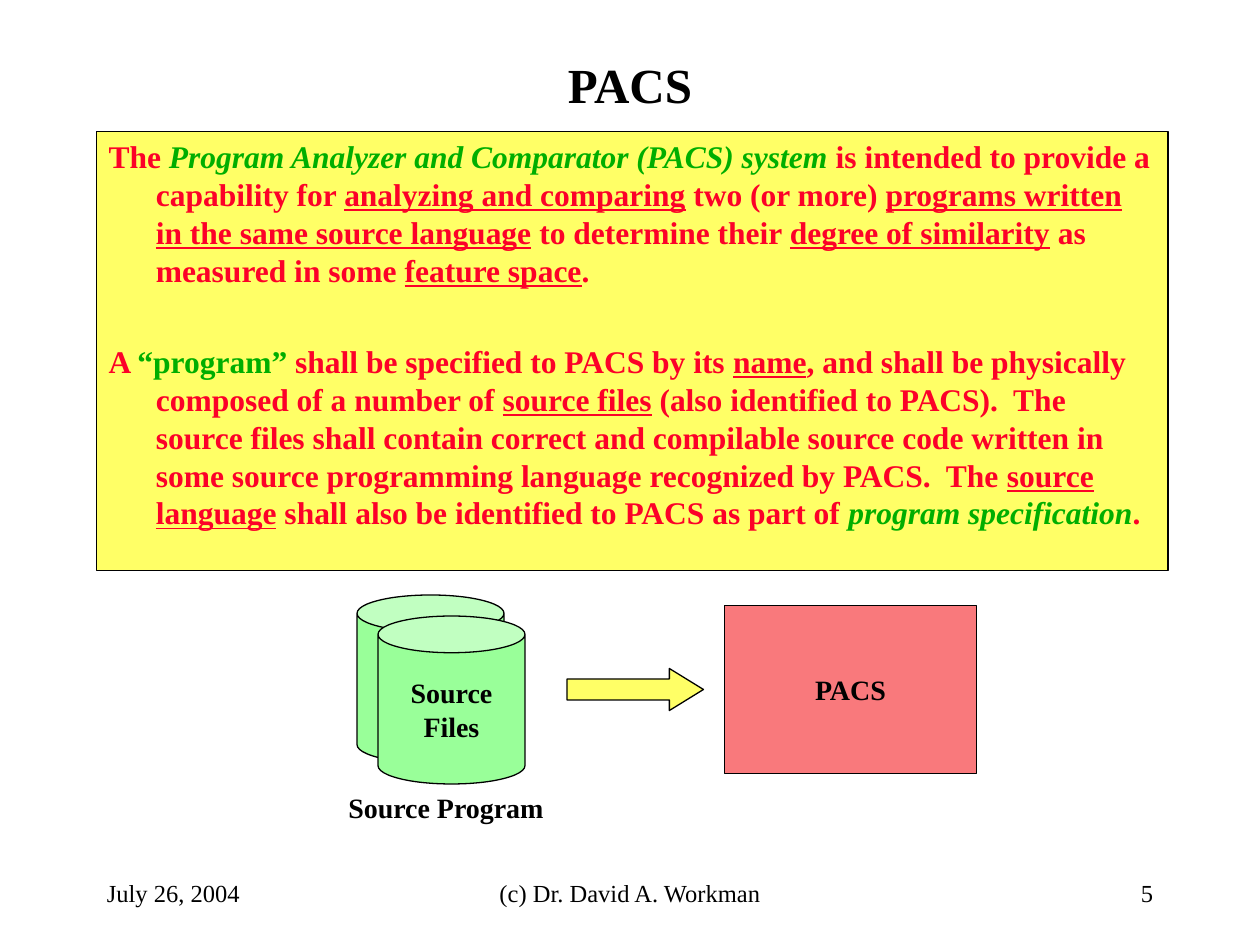
from pptx import Presentation
from pptx.dml.color import RGBColor
from pptx.enum import shapes, text
from pptx.util import Pt

FACE = "Times New Roman"
BLACK, RED, GREEN = "000000", "FC0128", "00AE00"
YELLOW, MINT, ROSE = "FFFF66", "99FF99", "F9797C"
LEFT, MID, RIGHT = text.PP_ALIGN.LEFT, text.PP_ALIGN.CENTER, text.PP_ALIGN.RIGHT
KIND = shapes.MSO_SHAPE

# Run styles: plain, underlined, green, green italic
LOOKS = {
    "": {},
    "u": {"underline": True},
    "g": {"color": GREEN},
    "gi": {"color": GREEN, "italic": True},
}
BODY = [
    [
        ("The ", ""),
        ("Program Analyzer and Comparator (PACS) system", "gi"),
        (" is intended to provide a capability for ", ""),
        ("analyzing and comparing", "u"),
        (" two (or more) ", ""),
        ("programs written in the same source language", "u"),
        (" to determine their ", ""),
        ("degree of similarity", "u"),
        (" as measured in some ", ""),
        ("feature space", "u"),
        (".", ""),
    ],
    [
        ("A ", ""),
        ("“program”", "g"),
        (" shall be specified to PACS by its ", ""),
        ("name", "u"),
        (", and shall be physically composed of a number of ", ""),
        ("source files", "u"),
        (" (also identified to PACS).  The source files shall contain correct and "
         "compilable source code written in some source programming language "
         "recognized by PACS.  The ", ""),
        ("source language", "u"),
        (" shall also be identified to PACS as part of ", ""),
        ("program specification", "gi"),
        (".", ""),
    ],
]
# Left, width, words, alignment
FOOT = [
    (54, 150, "July 26, 2004", LEFT),
    (246, 228, "(c) Dr. David A. Workman", MID),
    (516, 150, "5", RIGHT),
]
FILES = ["Source", "Files"]
CAN = (204, 340, 84, 96)
STEP = 12  # offset between the stacked cylinders


def rgb(code):
    return RGBColor.from_string(code)


def style(font, **looks):
    looks = {"name": FACE, "color": BLACK, **looks}
    font.color.rgb = rgb(looks.pop("color"))
    for key, value in looks.items():
        setattr(font, key, value)


def write(item, paras, align=MID, wrap=True, mid=True, hang=0, gap=0, **looks):
    """Fill a shape with paragraphs, each a list of (words, look) runs."""
    frame = item.text_frame
    frame.word_wrap = wrap
    anchor = text.MSO_ANCHOR
    frame.vertical_anchor = anchor.MIDDLE if mid else anchor.TOP
    for num, runs in enumerate(paras):
        para = frame.add_paragraph() if num else frame.paragraphs[0]
        para.alignment = align
        if num and gap:
            para.space_before = Pt(gap)
        if hang:
            props = para._p.get_or_add_pPr()
            props.set("marL", str(Pt(hang)))
            props.set("indent", str(-Pt(hang)))
        for words, look in runs:
            run = para.add_run()
            run.text = words
            style(run.font, **{**looks, **LOOKS[look]})


def plain(*lines):
    return [[(line, "")] for line in lines]


def draw(slide, kind, rect, fill, *adjust):
    item = slide.shapes.add_shape(kind, *map(Pt, rect))
    item.shadow.inherit = False
    item.fill.solid()
    item.fill.fore_color.rgb = rgb(fill)
    item.line.color.rgb = rgb(BLACK)
    item.line.width = Pt(0.75)
    for num, value in enumerate(adjust):
        item.adjustments[num] = value
    return item


def label(slide, rect, words, **form):
    write(slide.shapes.add_textbox(*map(Pt, rect)), plain(words), **form)


def main():
    deck = Presentation()
    deck.slide_width, deck.slide_height = Pt(720), Pt(540)
    slide = deck.slides.add_slide(deck.slide_layouts[6])

    label(slide, (54, 24, 612, 48), "PACS", size=Pt(28), bold=True)
    panel = draw(slide, KIND.RECTANGLE, (55, 75, 612.5, 251), YELLOW)
    write(panel, BODY, LEFT, mid=False, hang=27, gap=30.6,
          size=Pt(18), bold=True, color=RED)

    small = {"wrap": False, "size": Pt(16), "bold": True}
    left, top, wide, high = CAN
    for num in range(2):
        shift = num * STEP
        can = draw(slide, KIND.CAN, (left + shift, top + shift, wide, high), MINT, 0.25)
    write(can, plain(*FILES), **small)
    box = draw(slide, KIND.RECTANGLE, (414, 346, 144, 96), ROSE)
    write(box, plain("PACS"), **small)
    draw(slide, KIND.RIGHT_ARROW, (324, 382, 78, 24), YELLOW, 0.5, 0.81)
    label(slide, (192, 448, 127, 26.5), "Source Program", align=LEFT, mid=False, **small)

    for left, wide, words, align in FOOT:
        label(slide, (left, 492, wide, 36), words, align=align, size=Pt(14))
    deck.save("out.pptx")


if __name__ == "__main__":
    main()
